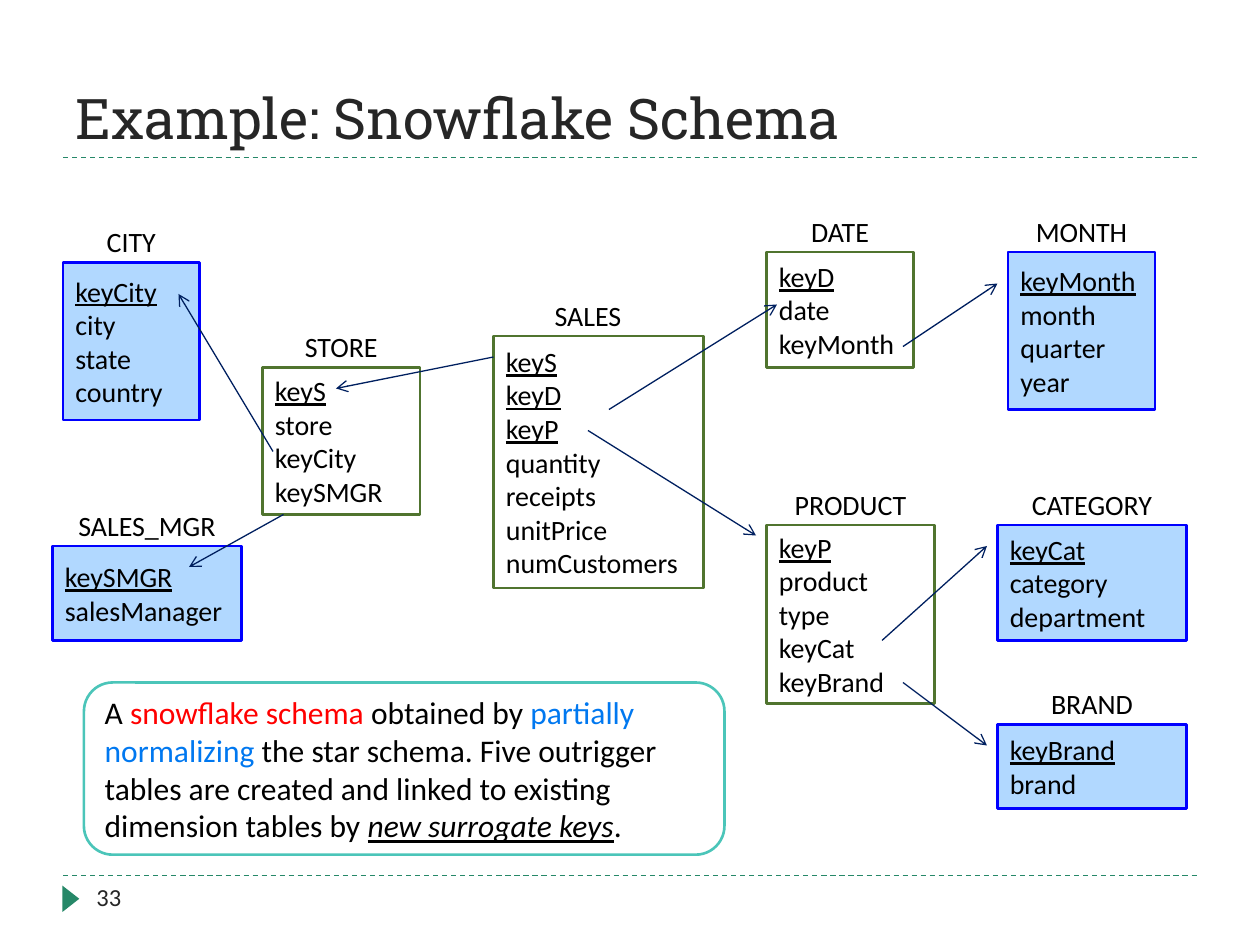
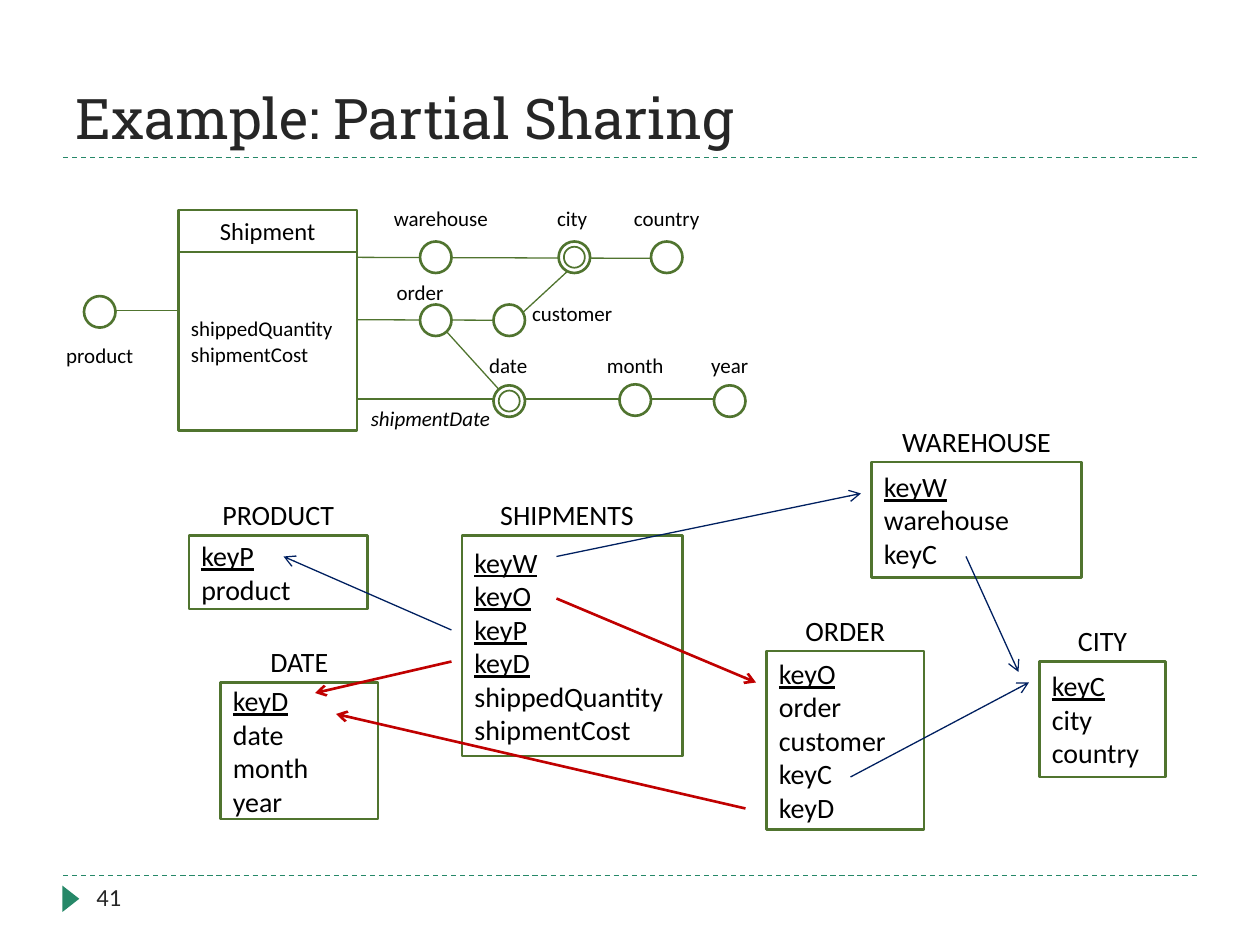
from pptx import Presentation
from pptx.dml.color import RGBColor
from pptx.enum.dml import MSO_LINE
from pptx.enum.shapes import MSO_CONNECTOR, MSO_SHAPE
from pptx.enum.text import MSO_ANCHOR, PP_ALIGN
from pptx.oxml.ns import qn
from pptx.util import Cm, Pt

RECT = MSO_SHAPE.RECTANGLE
ROUND = MSO_SHAPE.ROUNDED_RECTANGLE
OVAL = MSO_SHAPE.OVAL
WEDGE = MSO_SHAPE.ISOSCELES_TRIANGLE
LINE = MSO_CONNECTOR.STRAIGHT
DASH = MSO_LINE.DASH
LEFT, MID = PP_ALIGN.LEFT, PP_ALIGN.CENTER
TOP, CORE, BASE = MSO_ANCHOR.TOP, MSO_ANCHOR.MIDDLE, MSO_ANCHOR.BOTTOM

WHITE = RGBColor(0xFF, 0xFF, 0xFF)
BLACK = RGBColor(0, 0, 0)
DARK = RGBColor(0x26, 0x26, 0x26)
TEAL = RGBColor(0x26, 0x88, 0x68)
MINT = RGBColor(0x4B, 0xC5, 0xB9)
GREEN = RGBColor(0x50, 0x74, 0x2F)
NAVY = RGBColor(0x00, 0x20, 0x60)
BLUE = RGBColor(0x00, 0x00, 0xFF)
SKY = RGBColor(0xB1, 0xD8, 0xFF)
AZURE = RGBColor(0x00, 0x78, 0xF0)
RED = RGBColor(0xFF, 0x00, 0x00)
BRICK = RGBColor(0xC0, 0x00, 0x00)

HEAD, BODY = "Roboto Slab", "Calibri"
GRID = 2.54 / 12


def units(*nums):
    return [Cm(num * GRID) for num in nums]


class Deck:
    def __init__(self):
        self.prs = Presentation()
        self.prs.slide_width, self.prs.slide_height = Cm(25.4), Cm(19.05)
        self.slide = None

    def start(self, title, page):
        self.slide = self.prs.slides.add_slide(self.prs.slide_layouts[5])
        head = self.slide.shapes.title
        head.left, head.top, head.width, head.height = units(6, 3, 108, 12)
        self.fill_in(head.text_frame, [[(title, {})]], 32, LEFT, BASE, DARK, HEAD)
        for y in (15, 83.4):
            self.line(6, y, 114, y, TEAL).line.dash_style = DASH
        self.shape(WEDGE, (5.5, 84.8, 2.5, 1.6), TEAL).rotation = 90
        self.text(str(page), (8, 83.4, 26, 4.8), 14, LEFT, DARK)

    def fill_in(self, frame, paras, size, align=LEFT, anchor=CORE,
                color=BLACK, font=BODY):
        frame.word_wrap = True
        frame.vertical_anchor = anchor
        for num, runs in enumerate(paras):
            para = frame.paragraphs[0] if num == 0 else frame.add_paragraph()
            para.alignment = align
            for text, style in runs:
                run = para.add_run()
                run.text = text
                run.font.name = font
                run.font.size = Pt(size)
                run.font.color.rgb = style.get("color", color)
                run.font.underline = style.get("under")
                run.font.italic = style.get("slant")

    def shape(self, kind, area, fill=WHITE, edge=None, width=1.5):
        item = self.slide.shapes.add_shape(kind, *units(*area))
        item.shadow.inherit = False
        item.fill.solid()
        item.fill.fore_color.rgb = fill
        if edge is None:
            item.line.fill.background()
        else:
            item.line.color.rgb = edge
            item.line.width = Pt(width)
        return item

    def text(self, words, area, size=12, align=MID, color=BLACK, slant=None):
        box = self.slide.shapes.add_textbox(*units(*area))
        runs = [(words, {"slant": slant})]
        self.fill_in(box.text_frame, [runs], size, align, TOP, color)

    def box(self, area, paras, size, align=LEFT, kind=RECT, **look):
        item = self.shape(kind, area, **look)
        self.fill_in(item.text_frame, paras, size, align)

    def line(self, x1, y1, x2, y2, color, width=0.75):
        link = self.slide.shapes.add_connector(LINE, *units(x1, y1, x2, y2))
        link.line.color.rgb = color
        link.line.width = Pt(width)
        props = link.element.spPr
        props.append(props.makeelement(qn("a:effectLst"), {}))
        return link

    def arrow(self, ends, color=NAVY, width=0.75):
        edge = self.line(*ends, color, width).element.spPr.find(qn("a:ln"))
        edge.append(edge.makeelement(qn("a:tailEnd"), {"type": "arrow"}))

    def table(self, name, area, rows, keys=1, span=None, fill=WHITE, edge=GREEN):
        x, y, wide, _ = area
        self.box((x, y - 4, span or wide, 4), [[(name, {})]], 16, MID)
        paras = [[(row, {"under": True if num < keys else None})]
                 for num, row in enumerate(rows.split())]
        self.box(area, paras, 16, fill=fill, edge=edge)

    def node(self, x, y, double=False):
        self.shape(OVAL, (x, y, 3, 3), edge=GREEN)
        if double:
            self.shape(OVAL, (x + 0.5, y + 0.5, 2, 2), edge=GREEN, width=1)


def snow(deck):
    deck.start("Example: Snowflake Schema", 33)
    deck.table("SALES", (47, 32, 20, 24),
               "keyS keyD keyP quantity receipts unitPrice numCustomers", 3, 18)
    for name, area, rows in (
        ("STORE", (25, 35, 15, 14), "keyS store keyCity keySMGR"),
        ("DATE", (73, 24, 14, 11), "keyD date keyMonth"),
        ("PRODUCT", (73, 50, 16, 17), "keyP product type keyCat keyBrand"),
    ):
        deck.table(name, area, rows)
    for name, area, rows in (
        ("MONTH", (96, 24, 14, 15), "keyMonth month quarter year"),
        ("CATEGORY", (95, 50, 18, 11), "keyCat category department"),
        ("BRAND", (95, 69, 18, 8), "keyBrand brand"),
        ("SALES_MGR", (5, 52, 18, 9), "keySMGR salesManager"),
        ("CITY", (6, 25, 13, 15), "keyCity city state country"),
    ):
        deck.table(name, area, rows, fill=SKY, edge=BLUE)
    for ends in (
        (47, 34, 32, 37), (86, 33, 95, 27), (56, 41, 72, 51), (58, 39, 74, 29),
        (84, 61, 94, 52), (86, 65, 94, 71), (26, 43, 17, 28), (27, 49, 18, 54),
    ):
        deck.arrow(ends)
    note = [
        ("A ", {}),
        ("snowflake schema ", {"color": RED}),
        ("obtained by ", {}),
        ("partially normalizing", {"color": AZURE}),
        (" the star schema. Five outrigger tables are created and linked to "
         "existing dimension tables by ", {}),
        ("new surrogate keys", {"under": True, "slant": True}),
        (".", {}),
    ]
    deck.box((8, 65, 61, 16.4), [note], 18, kind=ROUND, edge=MINT)


def fact(deck):
    for ends in (
        (30.2, 24.5, 62, 24.6), (19, 30.4, 47, 30.5), (33, 38, 69, 38),
        (54.2, 25.7, 49, 30.5), (8, 29.6, 17, 29.6), (42, 31, 47.8, 37.4),
    ):
        deck.line(*ends, GREEN)
    for x, y in ((8, 28.2), (40, 23), (62, 23), (40, 29), (47, 29),
                 (59, 36.6), (68, 36.7)):
        deck.node(x, y)
    for x, y in ((53.2, 23), (47, 36.7)):
        deck.node(x, y, True)
    for name, x, y, wide in (
        ("product", 5, 32, 9), ("warehouse", 36, 19, 12), ("city", 49, 19, 11),
        ("country", 58, 19, 11), ("order", 34, 26, 12), ("customer", 49, 28, 11),
        ("date", 44.8, 33, 7.2), ("month", 55, 33, 11), ("year", 64, 33, 11),
    ):
        deck.text(name, (x, y, wide, 3.6))
    deck.text("shipmentDate", (33, 38, 16, 3.6), slant=True)
    deck.box((17, 20, 17, 4), [[("Shipment", {})]], 14, MID, edge=GREEN)
    deck.box((17, 24, 17, 17),
             [[("shippedQuantity", {})], [("shipmentCost", {})]], 12, edge=GREEN)


def share(deck):
    deck.start("Example: Partial Sharing", 41)
    fact(deck)
    deck.table("SHIPMENTS", (44, 51, 21, 21),
               "keyW keyO keyP keyD shippedQuantity shipmentCost", 4, 20)
    for name, area, rows in (
        ("PRODUCT", (18, 51, 17, 7), "keyP product"),
        ("CITY", (99, 63, 12, 11), "keyC city country"),
        ("ORDER", (73, 62, 15, 17), "keyO order customer keyC keyD"),
        ("WAREHOUSE", (83, 44, 20, 11), "keyW warehouse keyC"),
        ("DATE", (21, 65, 15, 13), "keyD date month year"),
    ):
        deck.table(name, area, rows)
    for ends in ((53, 53, 82, 47), (43, 60, 27, 53), (81, 74, 98, 65),
                 (92, 53, 97, 64)):
        deck.arrow(ends)
    for ends in ((53, 57, 72, 65), (43, 63, 30, 66), (71, 77, 32, 68)):
        deck.arrow(ends, BRICK, 1.5)


def main():
    deck = Deck()
    snow(deck)
    share(deck)
    deck.prs.save("out.pptx")


if __name__ == "__main__":
    main()
